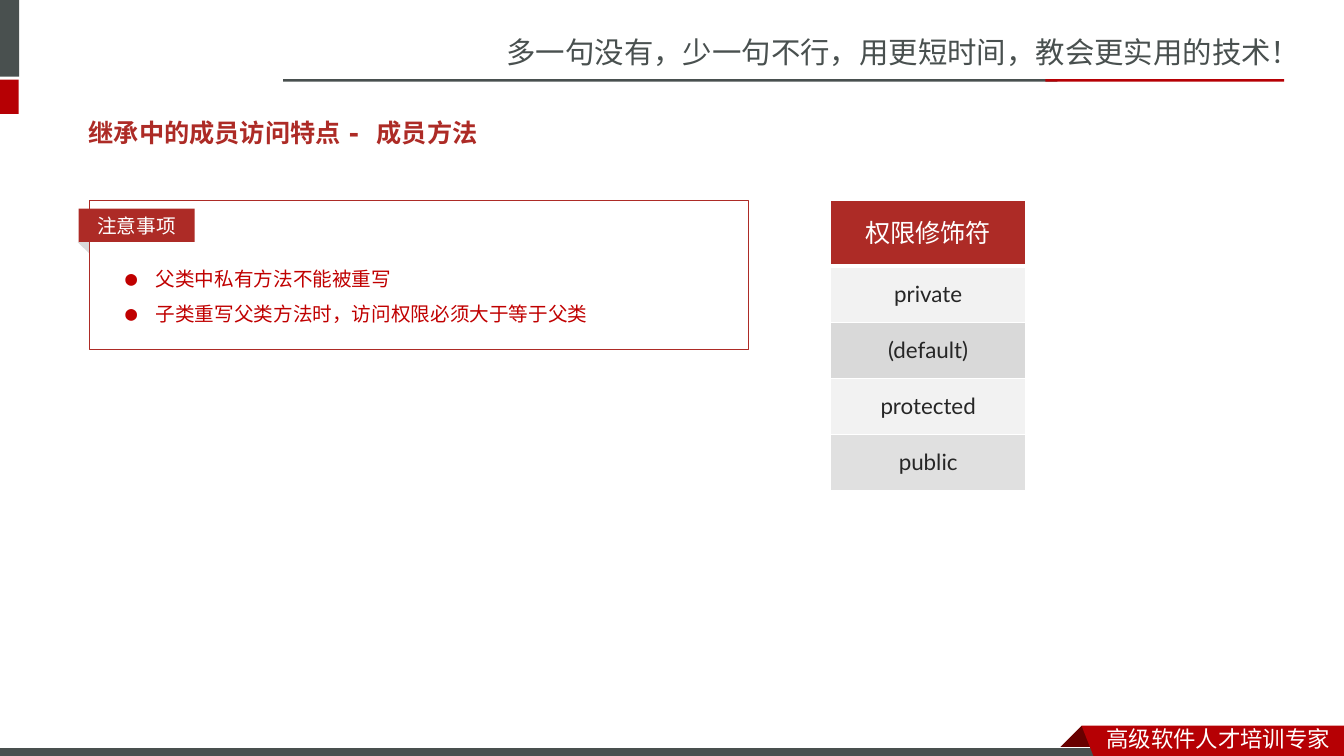
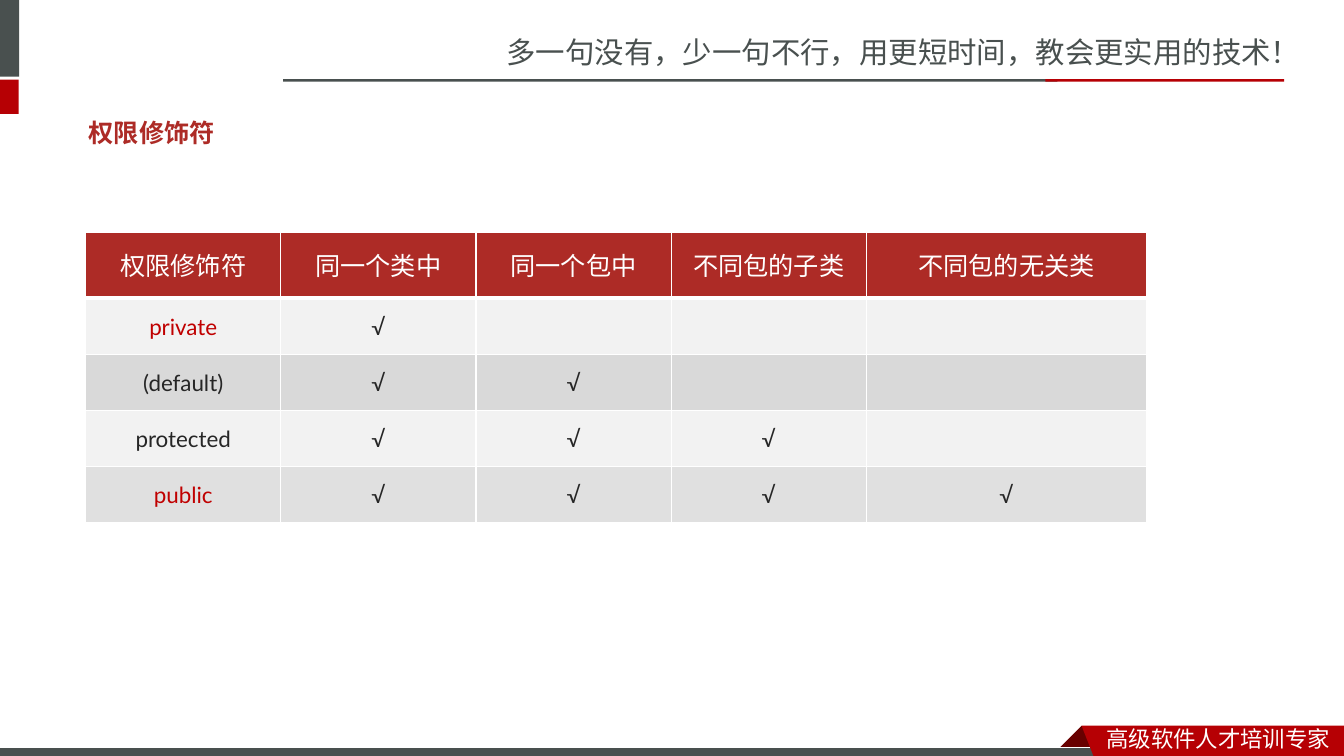
"""Build two slides on method overriding and access modifiers."""
from dataclasses import dataclass

from lxml.etree import SubElement
from pptx import Presentation
from pptx.dml.color import RGBColor
from pptx.enum.shapes import MSO_SHAPE
from pptx.enum.text import MSO_ANCHOR, MSO_AUTO_SIZE, PP_ALIGN
from pptx.oxml.ns import qn
from pptx.util import Emu, Inches, Pt


@dataclass(frozen=True)
class Theme:
    slate: str = "49504F"
    red: str = "B60004"
    fold: str = "680000"
    brick: str = "AD2B26"
    accent: str = "C00000"
    ink: str = "262626"
    white: str = "FFFFFF"
    shade: str = "D9D9D9"
    pale: str = "F2F2F2"
    cjk: str = "Noto Sans CJK SC"
    mono: str = "DejaVu Sans Mono"
    sans: str = "Lato"
    slogan_size: int = 21
    heading_size: int = 18
    body_size: int = 16
    note_size: int = 14


theme = Theme()
cell_side = Inches(7.5) // 75


def grid(*counts):
    return [Emu(round(count * cell_side)) for count in counts]


def write(frame, text, size, color, font, align=PP_ALIGN.LEFT, bold=False):
    frame.text = text
    for para in frame.paragraphs:
        para.alignment = align
        for span in para.runs:
            span.font.name = font
            span.font.size = Pt(size)
            span.font.bold = bold
            span.font.color.rgb = RGBColor.from_string(color)
            SubElement(span._r.get_or_add_rPr(), qn("a:ea"), typeface=theme.cjk)


deck = Presentation()
deck.slide_width, deck.slide_height = grid(133.33, 75)
layout = deck.slide_layouts[5]
heading, *unused = layout.placeholders
for placeholder in unused:
    layout.shapes.element.remove(placeholder.element)
heading.left, heading.top, heading.width, heading.height = grid(7.8, 10.3, 117.6, 5.7)

pages = []
for title in ("继承中的成员访问特点 - 成员方法", "权限修饰符"):
    page = deck.slides.add_slide(layout)
    frame = page.shapes.title.text_frame
    write(frame, title, theme.heading_size, theme.brick, theme.mono, bold=True)
    frame.vertical_anchor = MSO_ANCHOR.MIDDLE
    frame.auto_size = MSO_AUTO_SIZE.NONE
    pages.append(page)
override_page, modifier_page = pages

painted = []
shared = []
for area, fill, line in (
    ((-0.6, 0, 2.5, 7.6), theme.slate, None),
    ((-0.6, 7.9, 2.45, 3.4), theme.red, None),
    ((28.1, 7.85, 76.8, 0.24), theme.slate, None),
    ((103.7, 7.85, 23.7, 0.24), theme.red, None),
    ((-0.1, 74.15, 110, 1.2), theme.slate, theme.white),
):
    bar = override_page.shapes.add_shape(MSO_SHAPE.RECTANGLE, *grid(*area))
    painted.append((bar, fill, line))
    shared.append(bar)

for outline, fill in (
    (((107.3, 72), (109.5, 74.1), (105.2, 74.1)), theme.fold),
    (((107.3, 72), (133.33, 72), (133.33, 75.4), (108.6, 75.3)), theme.red),
):
    start, *corners = [grid(*point) for point in outline]
    builder = override_page.shapes.build_freeform(*start)
    builder.add_line_segments(corners, close=True)
    ribbon = builder.convert_to_shape()
    painted.append((ribbon, fill, None))
    shared.append(ribbon)

for area, text, size, color in (
    ((49.26, 2.85, 84.07, 4.7), "多一句没有，少一句不行，用更短时间，教会更实用的技术！",
     theme.slogan_size, theme.slate),
    ((108.8, 71.45, 24.5, 3.7), "高级软件人才培训专家", theme.body_size, theme.white),
):
    box = override_page.shapes.add_textbox(*grid(*area))
    box.text_frame.word_wrap = True
    write(box.text_frame, text, size, color, theme.cjk)
    shared.append(box)

for shape in shared:
    layout.shapes.element.append(shape.element)

notes = override_page.shapes.add_textbox(*grid(11.45, 24.8, 62.8, 7.7))
notes.text_frame.word_wrap = True
write(notes.text_frame, "父类中私有方法不能被重写\n子类重写父类方法时，访问权限必须大于等于父类",
      theme.note_size, theme.accent, theme.mono)
for para in notes.text_frame.paragraphs:
    para.line_spacing = 1.5
    properties = para._p.get_or_add_pPr()
    indent, = grid(3)
    properties.set("marL", str(indent))
    properties.set("indent", str(-indent))
    SubElement(properties, qn("a:buFont"), typeface=theme.mono)
    SubElement(properties, qn("a:buChar"), char="●")

for preset, area, fill, line, turn, text in (
    (MSO_SHAPE.ISOSCELES_TRIANGLE, (7.8, 23.8, 1.6, 0.9), theme.shade, None, 44.2, ""),
    (MSO_SHAPE.RECTANGLE, (8.9, 19.9, 65.4, 14.8), None, theme.brick, 0, ""),
    (MSO_SHAPE.RECTANGLE, (7.8, 20.7, 11.5, 3.3), theme.brick, None, 0, "注意事项"),
):
    card = override_page.shapes.add_shape(preset, *grid(*area))
    card.rotation = turn
    painted.append((card, fill, line))
    if text:
        card.text_frame.vertical_anchor = MSO_ANCHOR.MIDDLE
        write(card.text_frame, text, theme.note_size, theme.white, theme.sans, PP_ALIGN.CENTER)

for shape, fill, line in painted:
    shape.shadow.inherit = False
    if fill:
        shape.fill.solid()
        shape.fill.fore_color.rgb = RGBColor.from_string(fill)
    else:
        shape.fill.background()
    if line:
        shape.line.color.rgb = RGBColor.from_string(line)
        shape.line.width = Pt(0.75)
    else:
        shape.line.fill.background()

modifiers = ("private", "(default)", "protected", "public")
scopes = ("同一个类中", "同一个包中", "不同包的子类", "不同包的无关类")
names = ("权限修饰符", *modifiers)
row_heights = grid(6.5, *[5.56] * len(modifiers))
narrow, wide = 19.36, 27.8

lists = [(override_page, 82.4, 19.9, narrow, names, ()),
         (modifier_page, 8.5, 23.1, narrow, names, ("private", "public"))]
for scope, label in enumerate(scopes):
    marks = ["√" if scope <= level else "" for level in range(len(modifiers))]
    width = wide if label == scopes[-1] else narrow
    lists.append((modifier_page, 8.5 + (scope + 1) * narrow, 23.1, width, (label, *marks), ()))

for page, left, top, width, texts, highlights in lists:
    table = page.shapes.add_table(len(texts), 1, *grid(left, top, width),
                                  sum(row_heights)).table
    table.first_row = table.horz_banding = False
    for index, (text, height) in enumerate(zip(texts, row_heights)):
        table.rows[index].height = height
        cell = table.cell(index, 0)
        is_header = index == 0
        if is_header:
            size, color, fill = theme.heading_size, theme.white, theme.brick
        else:
            size = theme.body_size
            fill = theme.pale if index % 2 else theme.shade
            color = theme.accent if text in highlights else theme.ink
        cell.vertical_anchor = MSO_ANCHOR.MIDDLE
        cell.fill.solid()
        cell.fill.fore_color.rgb = RGBColor.from_string(fill)
        if text:
            write(cell.text_frame, text, size, color, theme.sans, PP_ALIGN.CENTER)
        if is_header:
            cell.text_frame.paragraphs[0].line_spacing = Pt(24)
        properties = cell._tc.get_or_add_tcPr()
        if index == len(modifiers):
            SubElement(properties.find(".//" + qn("a:srgbClr")), qn("a:alpha"), val="80000")
        thick_side = {0: "lnB", 1: "lnT"}.get(index)
        for position, side in enumerate(("lnL", "lnR", "lnT", "lnB")):
            weight = Pt(3 if side == thick_side else 1)
            border = SubElement(properties, qn(f"a:{side}"), w=str(weight))
            SubElement(SubElement(border, qn("a:solidFill")), qn("a:srgbClr"), val=theme.white)
            properties.insert(position, border)

deck.save("out.pptx")
